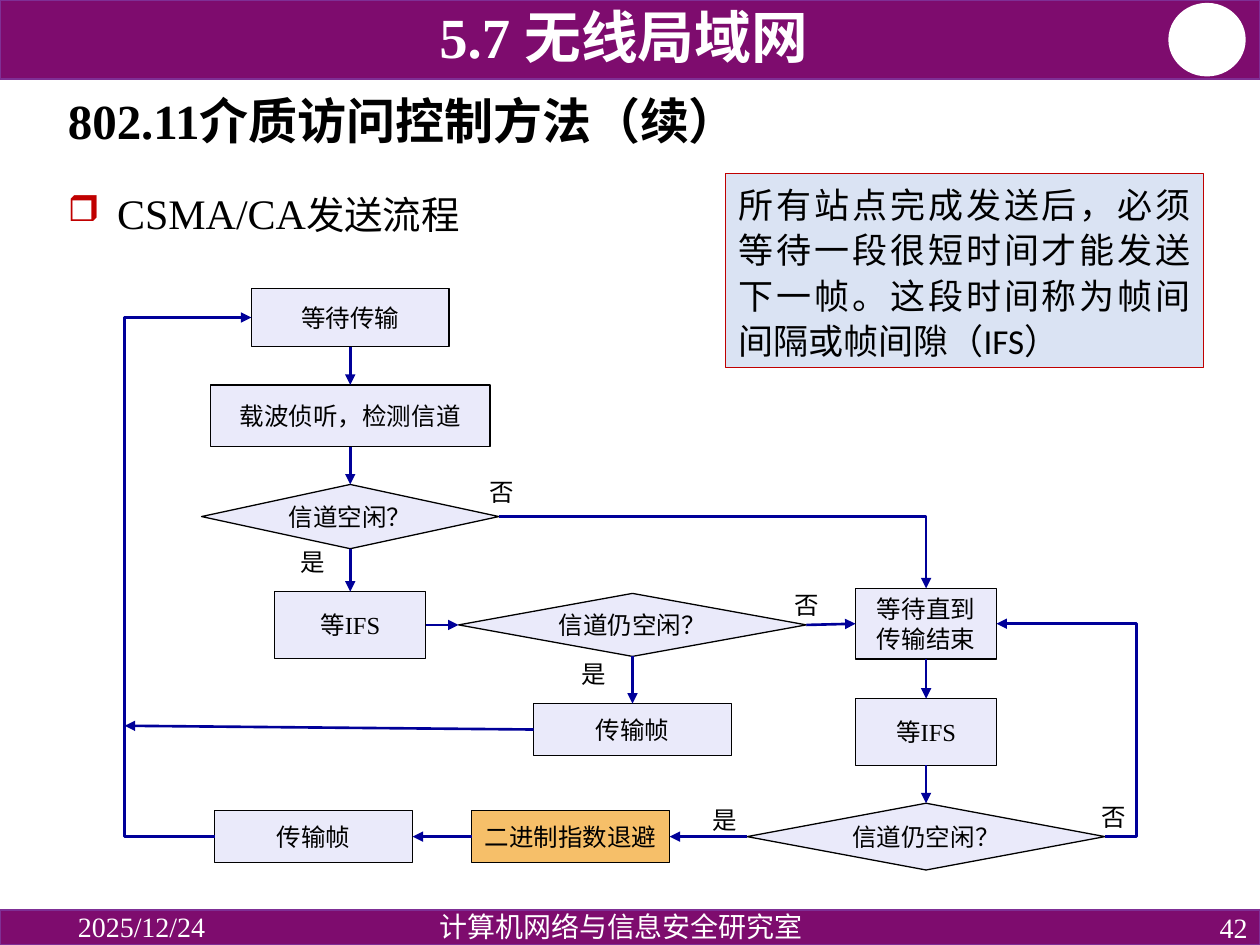
import pptx
import pptx.dml.color
import pptx.enum.shapes
import pptx.enum.text
import pptx.oxml
import pptx.oxml.ns
import pptx.util
from pptx.util import Inches

RGBColor = pptx.dml.color.RGBColor
SHAPE = pptx.enum.shapes.MSO_SHAPE
CONNECTOR = pptx.enum.shapes.MSO_CONNECTOR
ALIGN = pptx.enum.text.PP_ALIGN
ANCHOR = pptx.enum.text.MSO_ANCHOR

PURPLE = RGBColor(0x7E, 0x0C, 0x6E)
PURPLE_EDGE = RGBColor(0x7F, 0x2F, 0x95)
WHITE = RGBColor(0xFF, 0xFF, 0xFF)
BLACK = RGBColor(0, 0, 0)
RED = RGBColor(0xC0, 0, 0)
NAVY = RGBColor(0, 0, 0x99)
LAVENDER = RGBColor(0xEA, 0xEA, 0xFA)
ORANGE = RGBColor(0xF6, 0xBF, 0x69)
PALE_BLUE = RGBColor(0xDA, 0xE3, 0xF3)
SERIF = "Times New Roman"
TOP, LEFT, BOTTOM, RIGHT = range(4)


def xml(markup):
    return pptx.oxml.parse_xml(markup.replace(
        " ", f' {pptx.oxml.ns.nsdecls("a")} ', 1))


def write(shape, text, size=14, font=SERIF, color=BLACK, bold=False,
          align=ALIGN.LEFT, anchor=ANCHOR.TOP, spacing=None, wrap=True,
          bullet=None):
    """text is a string, or a list of (string, size) runs."""
    frame = shape.text_frame
    frame.word_wrap = wrap
    frame.vertical_anchor = anchor
    paragraph = frame.paragraphs[0]
    if bullet:
        properties = paragraph._p.get_or_add_pPr()
        properties.set("marL", str(Inches(0.39)))
        properties.set("indent", str(-Inches(0.39)))
        for markup in (f'<a:buClr ><a:srgbClr val="{RED}"/></a:buClr>',
                       '<a:buSzPct val="85000"/>',
                       f'<a:buChar char="{bullet}"/>'):
            properties.append(xml(markup))
    paragraph.alignment = align
    if spacing:
        paragraph.line_spacing = spacing
    for words, points in [(text, size)] if isinstance(text, str) else text:
        run = paragraph.add_run()
        run.text = words
        run.font.size = pptx.util.Pt(points)
        run.font.name = font
        run.font.bold = bold
        run.font.color.rgb = color


def add_text(slide, box, text, **style):
    write(slide.shapes.add_textbox(*map(Inches, box)), text, **style)


def add_block(slide, kind, box, fill, edge, weight=0.75):
    block = slide.shapes.add_shape(kind, *map(Inches, box))
    block.shadow.inherit = False
    block.fill.solid()
    block.fill.fore_color.rgb = fill
    block.line.color.rgb = edge
    block.line.width = pptx.util.Pt(weight)
    return block


def add_arrow(slide, start, end, kind=CONNECTOR.STRAIGHT):
    arrow = slide.shapes.add_connector(kind, *map(Inches, start + end))
    arrow.line.color.rgb = NAVY
    arrow.line.width = pptx.util.Pt(1.5)
    arrow.line._get_or_add_ln().append(xml('<a:tailEnd type="triangle"/>'))
    arrow._element.spPr.append(xml("<a:effectLst />"))
    return arrow


def bend(arrow, preset, adjust=None):
    geometry = arrow._element.spPr.prstGeom
    geometry.set("prst", preset)
    if adjust is not None:
        geometry.get_or_add_avLst().append(
            xml(f'<a:gd name="adj1" fmla="val {adjust}"/>'))


def header(slide, left, top, width, height):
    add_block(slide, SHAPE.RECTANGLE, (left, top, width, height),
              PURPLE, PURPLE_EDGE, 1)
    add_block(slide, SHAPE.OVAL, (left + 9.28, top + 0.03, 0.6, 0.57),
              WHITE, WHITE, 1)
    add_text(slide, (left + 0.67, top + 0.04, 8.56, 0.56), "5.7 无线局域网",
             size=32.4, color=WHITE, bold=True, align=ALIGN.CENTER,
             anchor=ANCHOR.BOTTOM, spacing=0.8)


def footer(slide, left, top, width, height):
    add_block(slide, SHAPE.RECTANGLE, (left, top, width, height),
              PURPLE, PURPLE_EDGE, 1)
    style = dict(size=16, color=WHITE)
    add_text(slide, (left + 0.52, top, 2.25, 0.26), "2025/12/24",
             anchor=ANCHOR.MIDDLE, **style)
    add_text(slide, (left + 2.69, top - 0.02, 4.48, 0.28),
             "计算机网络与信息安全研究室", align=ALIGN.CENTER, spacing=0.9, **style)
    add_text(slide, (left + width - 2.25, top, 2.25, height), "42",
             align=ALIGN.RIGHT, anchor=ANCHOR.MIDDLE, **style)


def headings(slide, left, top, width):
    add_text(slide, (left, top, width, 0.66), "802.11介质访问控制方法（续）",
             size=28, bold=True, anchor=ANCHOR.MIDDLE, spacing=0.9)
    add_text(slide, (left, top + 0.69, width, 0.58),
             [("CSMA/CA", 24), ("发送流程", 22)],
             spacing=pptx.util.Pt(35.9), bullet="❒")


def ifs_note(slide, *box):
    note = add_block(slide, SHAPE.RECTANGLE, box, PALE_BLUE, RED)
    write(note, "所有站点完成发送后，必须等待一段很短时间才能发送下一帧。"
          "这段时间称为帧间间隔或帧间隙（IFS）", size=20, font="Calibri",
          align=ALIGN.JUSTIFY, spacing=pptx.util.Pt(25.9))


def flowchart(slide, left, top, width):
    main, middle, right = 1.79, 4.03, 6.36  # column centres
    bottom = 4.35  # centre of the last row

    # Steps: text, centre x, centre y, width, height
    steps = {
        "ready": ("等待传输", main, 0.23, 1.57, 0.46),
        "sense": ("载波侦听，检测信道", main, 1.01, 2.22, 0.49),
        "idle": ("信道空闲？", main, 1.81, 2.36, 0.51),
        "ifs": ("等IFS", main, 2.67, 1.2, 0.53),
        "still idle": ("信道仍空闲？", middle, 2.67, 2.76, 0.5),
        "send": ("传输帧", middle, 3.5, 1.57, 0.41),
        "busy": ("等待直到传输结束", right, 2.66, 1.12, 0.56),
        "busy ifs": ("等IFS", right, 3.52, 1.12, 0.53),
        "idle again": ("信道仍空闲？", right, bottom, 2.84, 0.53),
        "backoff": ("二进制指数退避", 3.54, bottom, 1.57, 0.41),
        "resend": ("传输帧", 1.5, bottom, 1.57, 0.41),
    }
    nodes = {}
    for name, (text, x, y, w, h) in steps.items():
        decision = text.endswith("？")
        nodes[name] = add_block(
            slide, SHAPE.DIAMOND if decision else SHAPE.RECTANGLE,
            (left + x - w / 2, top + y - h / 2, w, h),
            ORANGE if name == "backoff" else LAVENDER, BLACK)
        write(nodes[name], text, align=ALIGN.CENTER, anchor=ANCHOR.MIDDLE,
              wrap=not decision)

    # Straight arrows between steps
    for source, out, target, into in (
            ("ready", BOTTOM, "sense", TOP), ("sense", BOTTOM, "idle", TOP),
            ("idle", BOTTOM, "ifs", TOP), ("ifs", RIGHT, "still idle", LEFT),
            ("still idle", BOTTOM, "send", TOP),
            ("still idle", RIGHT, "busy", LEFT),
            ("busy", BOTTOM, "busy ifs", TOP),
            ("busy ifs", BOTTOM, "idle again", TOP),
            ("idle again", LEFT, "backoff", RIGHT),
            ("backoff", LEFT, "resend", RIGHT)):
        arrow = add_arrow(slide, (left, top), (left, top))
        arrow.begin_connect(nodes[source], out)
        arrow.end_connect(nodes[target], into)

    # Sent frame joins the return line
    joining = add_arrow(slide, (left + middle, top + 3.5), (left, top + 3.47))
    joining.begin_connect(nodes["send"], LEFT)

    # Bent arrows; the two loops turn at the edges of the region
    def side(name, sign):
        _, x, y, w, _ = steps[name]
        return left + x + sign * w / 2, top + y

    def loop(start, end, turn):
        share = (turn - start[0]) / (end[0] - start[0])
        bend(add_arrow(slide, start, end, CONNECTOR.ELBOW),
             "bentConnector3", round(share * 100000))

    loop(side("resend", -1), side("ready", -1), left)
    loop(side("idle again", 1), side("busy", 1), left + width)
    busy_top = (left + right, top + 2.38)
    bend(add_arrow(slide, side("idle", 1), busy_top, CONNECTOR.ELBOW),
         "bentConnector2")

    # Branch labels
    for answer, x, y in (("否", 2.8, 1.45), ("是", 1.3, 2), ("否", 5.22, 2.34),
                         ("是", 3.53, 2.89), ("是", 4.57, 4.05),
                         ("否", 7.65, 4.03)):
        add_text(slide, (left + x, top + y, 0.4, 0.34), answer)


def main():
    deck = pptx.Presentation()
    deck.slide_width, deck.slide_height = Inches(10), Inches(7.5)
    slide = deck.slides.add_slide(deck.slide_layouts[6])
    header(slide, 0, 0, 10, 0.63)
    footer(slide, 0, 7.22, 10, 0.28)
    headings(slide, 0.44, 0.65, 8.62)
    flowchart(slide, 0.99, 2.29, 8.03)
    ifs_note(slide, 5.76, 1.38, 3.79, 1.54)
    deck.save("out.pptx")


if __name__ == "__main__":
    main()
